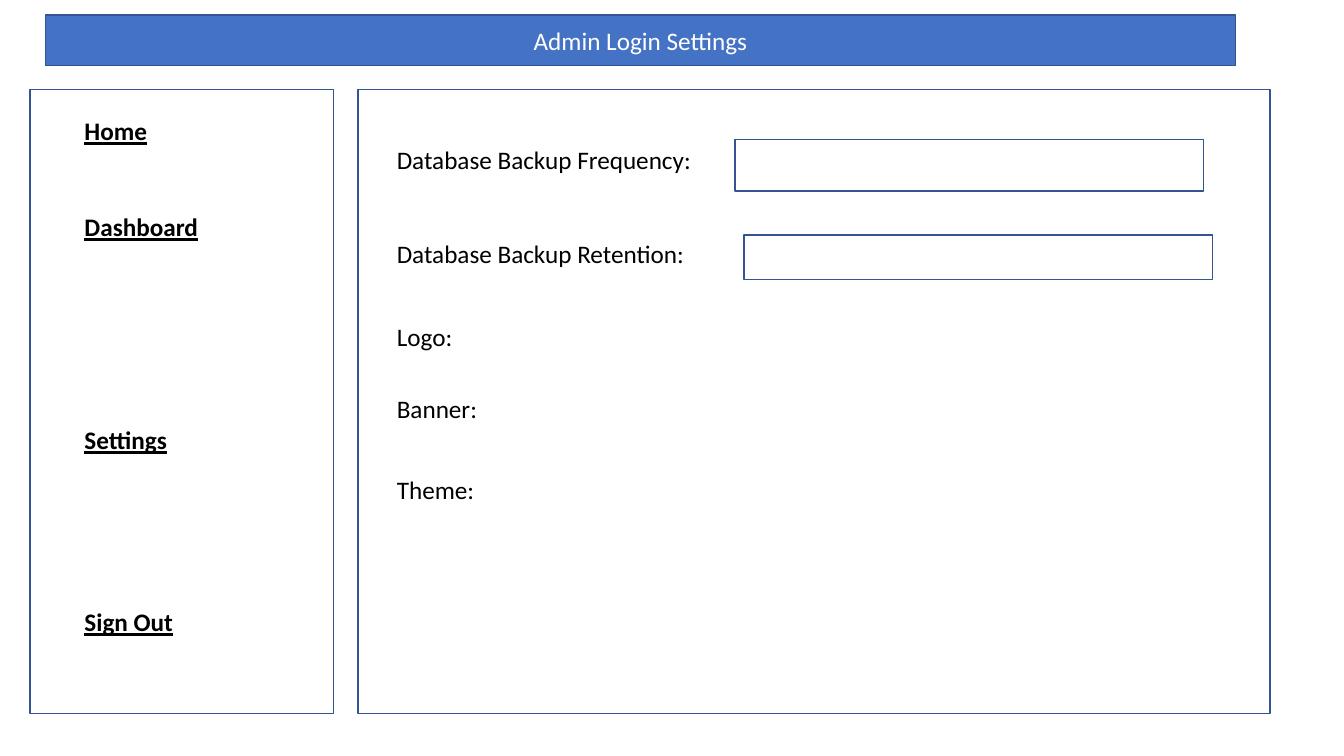
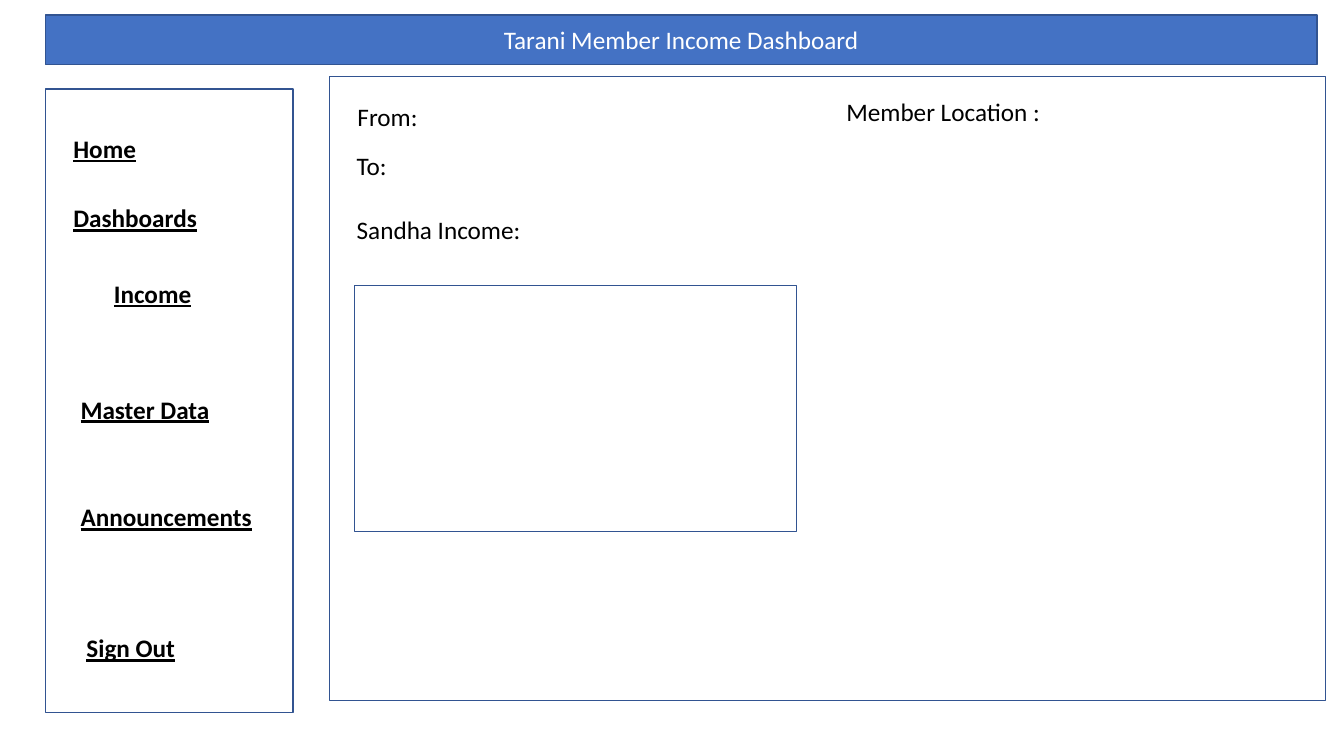
from pptx import Presentation
from pptx.dml.color import RGBColor
from pptx.enum.shapes import MSO_SHAPE
from pptx.enum.text import MSO_ANCHOR, MSO_AUTO_SIZE, PP_ALIGN
from pptx.util import Cm, Pt

# Shared style
BLUE = RGBColor(0x44, 0x72, 0xC4)
EDGE = RGBColor(0x32, 0x54, 0x91)
WHITE = RGBColor(0xFF, 0xFF, 0xFF)
BLACK = RGBColor(0x00, 0x00, 0x00)
FONT = "Calibri"
SIZE = Pt(18)
RECT = MSO_SHAPE.RECTANGLE
BUTTON = MSO_SHAPE.ACTION_BUTTON_CUSTOM
TALL = 15.72  # height of the menu and main panels
ROW = 1.02  # height of one line of text


def paint(shape, fill):
    shape.fill.solid()
    shape.fill.fore_color.rgb = fill
    shape.line.color.rgb = EDGE
    shape.line.width = Pt(1)


def write(frame, text, color, bold=False):
    frame.word_wrap = True
    frame.text = text
    para = frame.paragraphs[0]
    font = para.font
    font.name, font.size, font.color.rgb = FONT, SIZE, color
    font.bold = font.underline = bold
    return para


def add_page(deck, title, width, height):
    """Add a slide whose title is the blue band."""
    slide = deck.slides.add_slide(deck.slide_layouts[5])
    band = slide.shapes.title
    band.left, band.top = Cm(1.14), Cm(0.38)
    band.width, band.height = Cm(width), Cm(height)
    paint(band, BLUE)
    frame = band.text_frame
    write(frame, title, WHITE).alignment = PP_ALIGN.CENTER
    frame.auto_size = MSO_AUTO_SIZE.NONE
    frame.vertical_anchor = MSO_ANCHOR.MIDDLE
    return slide


def add_box(slide, left, top, width, height, kind=RECT):
    box = slide.shapes.add_shape(kind, Cm(left), Cm(top), Cm(width), Cm(height))
    box.shadow.inherit = False
    paint(box, WHITE)


def add_text(slide, text, left, top, width, bold=False):
    box = slide.shapes.add_textbox(Cm(left), Cm(top), Cm(width), Cm(ROW))
    write(box.text_frame, text, BLACK, bold)
    box.text_frame.auto_size = MSO_AUTO_SIZE.SHAPE_TO_FIT_TEXT


def add_menu(slide, items):
    for text, left, top in items:
        add_text(slide, text, left, top, 6.25, bold=True)


def add_labels(slide, items, width):
    for text, left, top in items:
        add_text(slide, text, left, top, width)


def add_settings(deck):
    slide = add_page(deck, "Admin Login Settings", 30, 1.27)

    # Menu
    add_box(slide, 0.76, 2.26, 7.65, TALL)
    left = 1.88
    add_menu(slide, [
        ("Home", left, 2.79),
        ("Dashboard", left, 5.21),
        ("Settings", left, 10.57),
        ("Sign Out", left, 15.16),
    ])

    # Form
    add_box(slide, 9.02, 2.26, 22.99, TALL, BUTTON)
    left = 9.75
    add_labels(slide, [
        ("Database Backup Frequency:", left, 3.51),
        ("Database Backup Retention:", left, 5.89),
        ("Logo:", left, 7.98),
        ("Banner:", left, 9.78),
        ("Theme:", left, 11.84),
    ], 10.11)
    add_box(slide, 18.52, 3.51, 11.81, 1.3, BUTTON)
    add_box(slide, 18.75, 5.92, 11.81, 1.12, BUTTON)


def add_income(deck):
    slide = add_page(deck, "Tarani Member Income Dashboard", 32.05, 1.24)

    # Menu
    add_box(slide, 1.14, 2.24, 6.25, TALL)
    add_menu(slide, [
        ("Home", 1.6, 3.23),
        ("Dashboards", 1.6, 4.98),
        ("Income", 2.62, 6.88),
        ("Master Data", 1.78, 9.8),
        ("Announcements", 1.78, 12.52),
        ("Sign Out", 1.93, 15.82),
    ])

    # Filters and income panel
    add_box(slide, 8.31, 1.93, 25.1, TALL)
    add_labels(slide, [
        ("From:", 8.76, 2.44),
        ("To:", 8.74, 3.66),
        ("Sandha Income:", 8.74, 5.28),
        ("Member Location :", 21.08, 2.31),
    ], 8.2)
    add_box(slide, 8.94, 7.19, 11.13, 6.2)


def main():
    deck = Presentation()
    deck.slide_width, deck.slide_height = Cm(33.87), Cm(19.05)
    add_settings(deck)
    add_income(deck)
    deck.save("out.pptx")


main()
